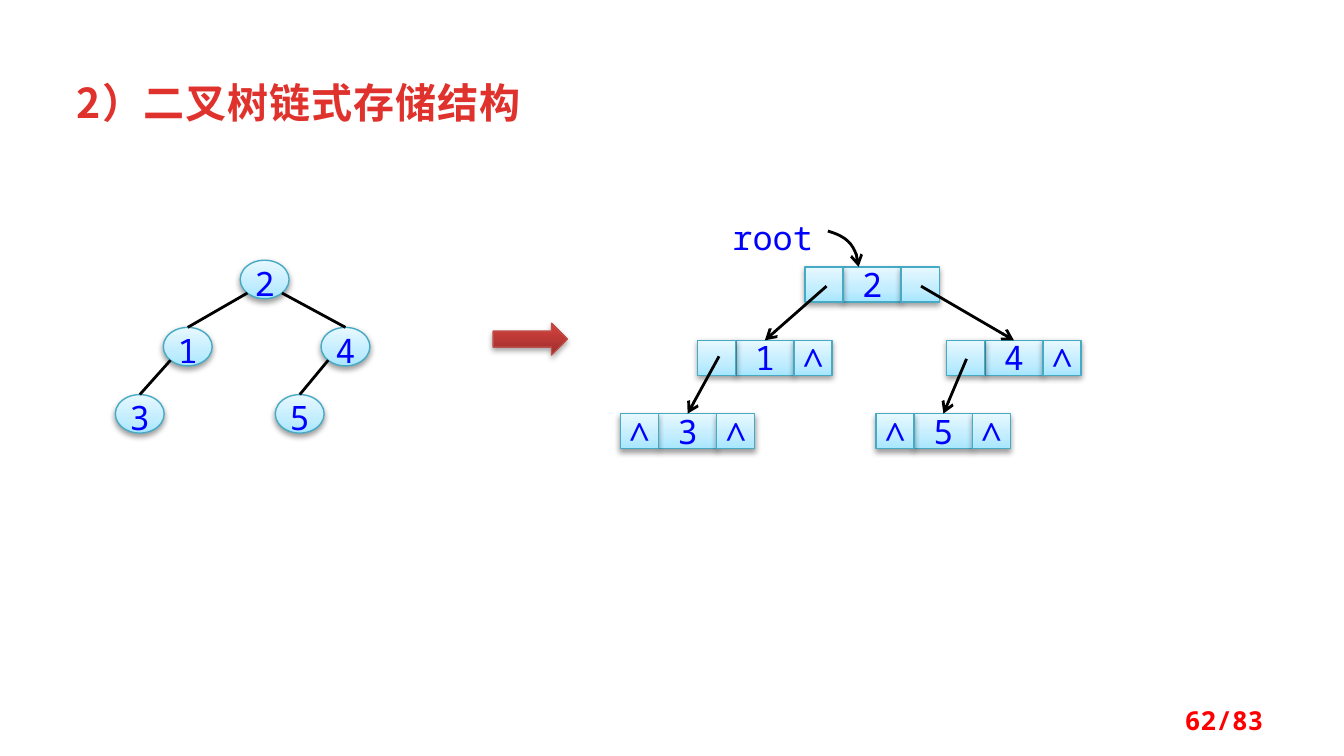
from dataclasses import dataclass
from math import sqrt

from lxml.etree import SubElement
from pptx import Presentation
from pptx.dml.color import RGBColor
from pptx.enum.shapes import MSO_CONNECTOR, MSO_SHAPE
from pptx.enum.text import MSO_ANCHOR, MSO_AUTO_SIZE, PP_ALIGN
from pptx.oxml.ns import qn
from pptx.util import Pt


@dataclass(frozen=True)
class Theme:
    """Hold the colours, fonts and sizes of the slide."""
    head: str = "Noto Sans CJK SC"
    mono: str = "Noto Sans Mono"
    blue: str = "0000FF"
    red: str = "FF0000"
    ink: str = "000000"
    white: str = "FFFFFF"
    rim: str = "46AAC5"
    edge: str = "BF4C48"
    ice: tuple = ((0, "A7E6FF"), (35, "C1EDFF"), (100, "E7F8FF"))
    brick: tuple = ((0, "9C2F2D"), (80, "CB3E3A"), (100, "CE3B37"))
    flame: tuple = ((25, "E0322D"), (100, "A2201C"))
    large: float = 22
    text: float = 18
    small: float = 14
    thin: float = 0.75
    thick: float = 1.5


class Deck:
    """Draw each kind of element on the current slide."""

    def __init__(self, theme):
        """Start a deck with one slide that has only a title."""
        self.theme = theme
        self.deck = Presentation()
        self.deck.slide_width, self.deck.slide_height = Pt(720), Pt(405)
        self.slide = self.deck.slides.add_slide(self.deck.slide_layouts[5])
        self.home = self.slide.shapes

    def group(self):
        """Send the next shapes to a new group."""
        self.home = self.slide.shapes.add_group_shape().shapes

    def leave(self):
        """Send the next shapes to the slide itself."""
        self.home = self.slide.shapes

    def place(self, shape, box):
        """Set the left, top, width and height of a shape."""
        for name, value in zip(("left", "top", "width", "height"), box):
            setattr(shape, name, Pt(value))

    def shade(self, fill, node, stops, angle):
        """Fill with a gradient of percent and colour stops."""
        fill.gradient()
        fill.gradient_angle = angle
        items = node.find(".//" + qn("a:gsLst"))
        for item in list(items):
            items.remove(item)
        for spot, tone in stops:
            stop = SubElement(items, qn("a:gs"), pos=str(spot * 1000))
            SubElement(stop, qn("a:srgbClr"), val=tone)

    def letter(self, shape, text, frame=None, para=None, **font):
        """Add one run and set its frame, paragraph and font formats."""
        body = shape.text_frame
        line = body.paragraphs[0]
        run = line.add_run()
        run.text = text
        font["size"] = Pt(font["size"])
        for part, look in ((body, frame), (line, para), (run.font, font)):
            for name, value in (look or {}).items():
                setattr(part, name, value)
        SubElement(run._r.get_or_add_rPr(), qn("a:ea"), typeface=font["name"])
        return run

    def label(self, shape, text):
        """Add centred blue text without margins."""
        frame = {f"margin_{side}": 0 for side in ("left", "top", "right", "bottom")}
        run = self.letter(
            shape, text, {**frame, "vertical_anchor": MSO_ANCHOR.TOP},
            {"alignment": PP_ALIGN.CENTER, "line_spacing": Pt(20)},
            name=self.theme.mono, size=self.theme.text)
        run.font.color.rgb = RGBColor.from_string(self.theme.blue)

    def title(self, text, box):
        """Move and fill the title."""
        shape = self.slide.shapes.title
        self.place(shape, box)
        run = self.letter(
            shape, text,
            {"word_wrap": True, "vertical_anchor": MSO_ANCHOR.TOP,
             "auto_size": MSO_AUTO_SIZE.SHAPE_TO_FIT_TEXT},
            {"alignment": PP_ALIGN.LEFT},
            name=self.theme.head, size=self.theme.large, bold=True)
        self.shade(run.font.fill, run._r, self.theme.flame, 270)
        run._r.get_or_add_rPr().set("spc", "50")

    def page(self, text, box):
        """Add the page count."""
        shape = self.home.add_textbox(*map(Pt, box))
        run = self.letter(
            shape, text,
            {"word_wrap": True, "vertical_anchor": MSO_ANCHOR.MIDDLE},
            {"alignment": PP_ALIGN.RIGHT},
            name=self.theme.mono, size=self.theme.small, bold=True)
        run.font.color.rgb = RGBColor.from_string(self.theme.red)

    def plate(self, text, box):
        """Add a white label without a line."""
        shape = self.home.add_shape(MSO_SHAPE.RECTANGLE, *map(Pt, box))
        shape.shadow.inherit = False
        shape.fill.solid()
        shape.fill.fore_color.rgb = RGBColor.from_string(self.theme.white)
        shape.line.fill.background()
        self.label(shape, text)

    def block(self, kind, box, stops, rim, alpha=38, text=""):
        """Add a shaded shape with a soft shadow."""
        shape = self.home.add_shape(kind, *map(Pt, box))
        self.shade(shape.fill, shape._element.spPr, stops, 90)
        self.stroke(shape.line, rim, self.theme.thin)
        shape.shadow.inherit = False
        cast = SubElement(
            shape._element.spPr.find(qn("a:effectLst")), qn("a:outerShdw"),
            blurRad=str(Pt(3.1)), dist=str(Pt(1.6)), dir="5400000", rotWithShape="0")
        tone = SubElement(cast, qn("a:srgbClr"), val=self.theme.ink)
        SubElement(tone, qn("a:alpha"), val=str(alpha * 1000))
        if text:
            self.label(shape, text)
        return shape

    def stroke(self, line, tone, width):
        """Set the colour and width of a line."""
        line.color.rgb = RGBColor.from_string(tone)
        line.width = Pt(width)

    def tip(self, shape):
        """Put an open arrowhead at the end of a line."""
        SubElement(shape._element.spPr.find(qn("a:ln")), qn("a:tailEnd"), type="arrow")

    def link(self, start, goal, arrow=False):
        """Draw a line from a point to the top of a shape."""
        line = self.home.add_connector(
            MSO_CONNECTOR.STRAIGHT, *map(Pt, start), goal.left, goal.top)
        line.end_connect(goal, 0)
        self.stroke(line.line, self.theme.ink, self.theme.thick)
        if arrow:
            self.tip(line)
        SubElement(line._element.spPr, qn("a:effectLst"))

    def curve(self, start, *points):
        """Draw a curved arrow through two control points."""
        maker = self.home.build_freeform(*map(Pt, start))
        maker.add_line_segments([tuple(map(Pt, spot)) for spot in points], close=False)
        shape = maker.convert_to_shape()
        route = shape._element.find(".//" + qn("a:path"))
        lines = route.findall(qn("a:lnTo"))
        bend = SubElement(route, qn("a:cubicBezTo"))
        for line in lines:
            bend.append(line[0])
            route.remove(line)
        shape.fill.background()
        shape.shadow.inherit = False
        self.stroke(shape.line, self.theme.ink, self.theme.thick)
        self.tip(shape)

    def record(self, left, top, marks):
        """Draw a node of three cells and return the middle one."""
        side, mid, high = 20.4, 31.2, 18.8
        cells = ((side, mid, marks[1]), (side + mid, side, marks[2]), (0, side, marks[0]))
        shapes = [self.block(MSO_SHAPE.RECTANGLE, (left + shift, top, wide, high),
                             self.theme.ice, self.theme.rim, text=mark)
                  for shift, wide, mark in cells]
        return shapes[0]


def main():
    """Build the slide and save it."""
    theme = Theme()
    deck = Deck(theme)
    deck.title("2）二叉树链式存储结构", (34, 38, 292, 34))

    deck.group()
    deck.plate("root", (388, 118, 52, 17))
    nodes = {"2": (431.2, 0, ("", "")), "1": (373.8, 1, ("", "∧")),
             "3": (332.4, 2, ("∧", "∧")), "4": (507.2, 1, ("", "∧")),
             "5": (469.4, 2, ("∧", "∧"))}
    cells = {key: deck.record(left, 143 + 39.3 * row, (ends[0], key, ends[1]))
             for key, (left, row, ends) in nodes.items()}
    for start, key in (((442.8, 153.3), "1"), ((493.4, 153.3), "4"),
                       ((385.2, 190.9), "3"), ((517.8, 192.3), "5")):
        deck.link(start, cells[key], True)
    deck.curve((443.5, 123.8), (453.6, 126.7), (460, 134), (460, 143))

    deck.group()
    wide, high = 26.2, 20.6
    spots = {"2": (128.7, 139.4), "1": (87.5, 175.4), "4": (172, 175.4),
             "3": (61.8, 211.4), "5": (147.5, 211.4)}
    balls = {key: deck.block(MSO_SHAPE.OVAL, (*spot, wide, high),
                             theme.ice, theme.rim, text=key)
             for key, spot in spots.items()}
    for key, child in ("21", "24", "13", "45"):
        left, top = spots[key]
        sign = 1 if spots[child][0] > left else -1
        start = (left + wide / 2 * (1 + sign / sqrt(2)),
                 top + high / 2 * (1 + 1 / sqrt(2)))
        deck.link(start, balls[child])

    deck.leave()
    deck.block(MSO_SHAPE.RIGHT_ARROW, (264.2, 173.2, 39.8, 17), theme.brick, theme.edge, 35)
    deck.page("62/83", (516, 375, 168, 21.6))
    deck.deck.save("out.pptx")


if __name__ == "__main__":
    main()
